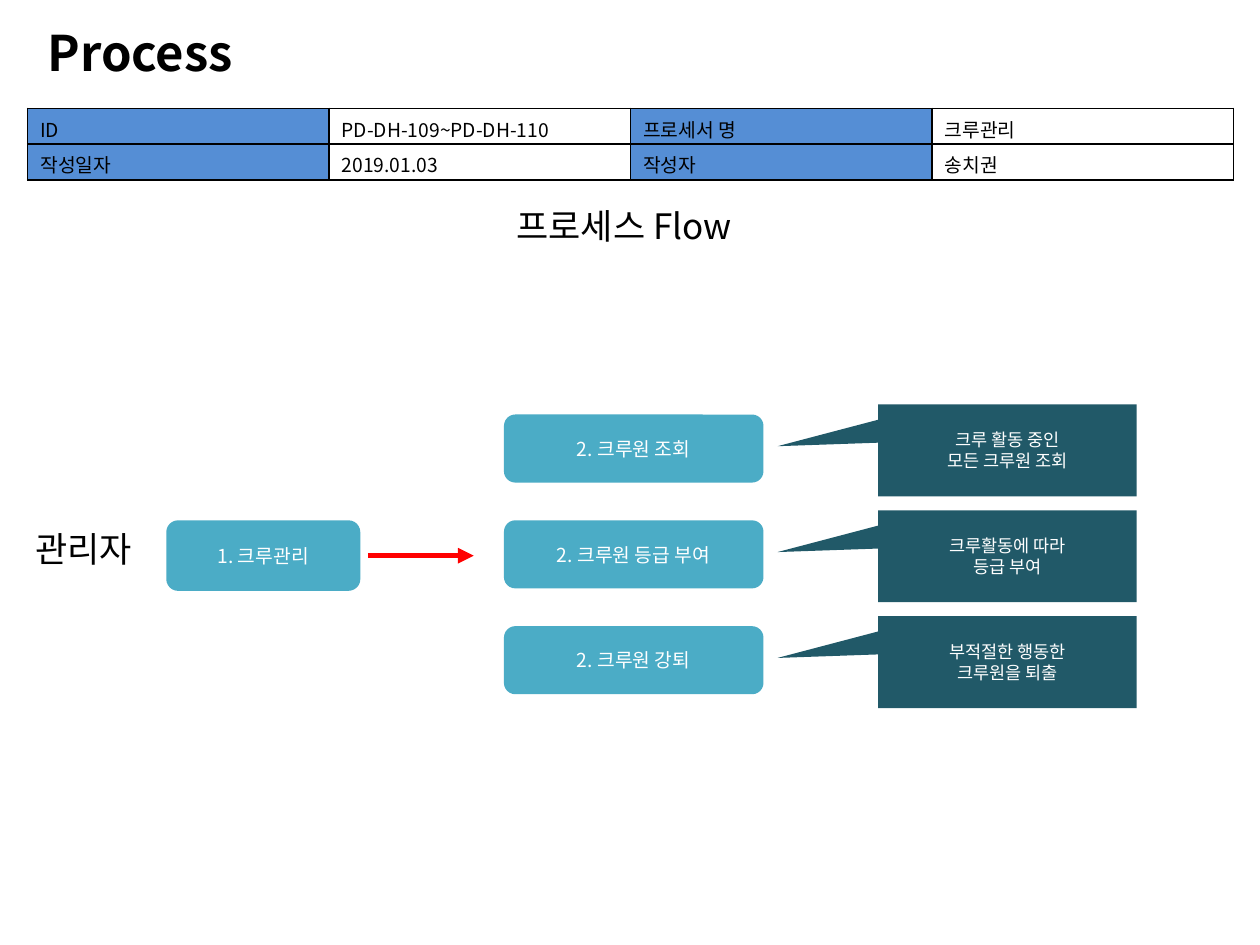
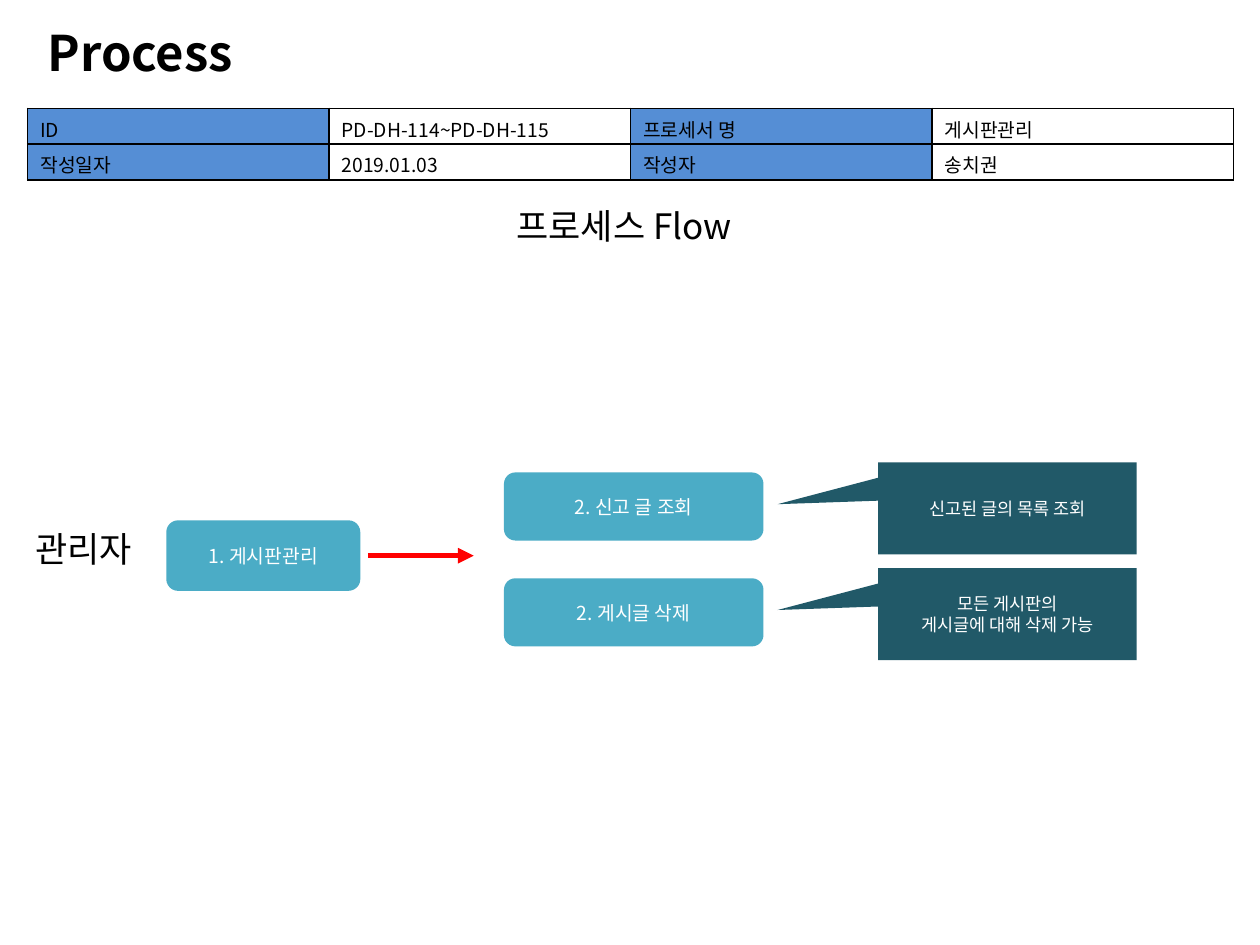
from lxml import etree
from pptx import Presentation
from pptx.dml.color import RGBColor
from pptx.enum.shapes import MSO_CONNECTOR, MSO_SHAPE
from pptx.enum.text import MSO_ANCHOR, PP_ALIGN
from pptx.oxml.ns import qn
from pptx.util import Inches, Pt

ROUNDED = MSO_SHAPE.ROUNDED_RECTANGLE
CALLOUT = MSO_SHAPE.RECTANGULAR_CALLOUT
STRAIGHT = MSO_CONNECTOR.STRAIGHT
MIDDLE = MSO_ANCHOR.MIDDLE
LEFT, CENTER = PP_ALIGN.LEFT, PP_ALIGN.CENTER

FONT = "Noto Sans CJK KR"
BLACK, WHITE, RED = "000000", "FFFFFF", "FF0000"
LABEL_BLUE, STEP_TEAL, NOTE_TEAL = "558ED5", "4BACC6", "215968"

TABLE_BOX = (0.22, 0.86, 9.57, 0.57)
FLOW_BOX = (0.18, 3.21, 8.84, 2.41)
STEP_PITCH = 0.84
STEP_HEIGHT = 0.54

PROCESSES = [
    {
        "id": "PD-DH-109~PD-DH-110",
        "name": "크루관리",
        "steps": [
            ("크루원 조회", "크루 활동 중인\n모든 크루원 조회"),
            ("크루원 등급 부여", "크루활동에 따라\n등급 부여"),
            ("크루원 강퇴", "부적절한 행동한\n크루원을 퇴출"),
        ],
        "first_step": 0.08,
    },
    {
        "id": "PD-DH-114~PD-DH-115",
        "name": "게시판관리",
        "steps": [
            ("신고 글 조회", "신고된 글의 목록 조회"),
            ("게시글 삭제", "모든 게시판의\n게시글에 대해 삭제 가능"),
        ],
        "first_step": 0.54,
    },
]


def rgb(value):
    return RGBColor.from_string(value)


def inches(box):
    return [Inches(length) for length in box]


def write(frame, text, size, color, align=LEFT, bold=False):
    frame.text = text
    for paragraph in frame.paragraphs:
        paragraph.alignment = align
        for run in paragraph.runs:
            run.font.size = Pt(size)
            run.font.bold = bold
            run.font.color.rgb = rgb(color)
            run.font.name = FONT
            east_asian = etree.SubElement(run._r.get_or_add_rPr(), qn("a:ea"))
            east_asian.set("typeface", FONT)


def add_label(slide, box, text, size, bold=False):
    label = slide.shapes.add_textbox(*inches(box))
    label.text_frame.word_wrap = True
    write(label.text_frame, text, size, BLACK, bold=bold)


def add_block(slide, kind, box, text, size, fill):
    block = slide.shapes.add_shape(kind, *inches(box))
    block.shadow.inherit = False
    block.fill.solid()
    block.fill.fore_color.rgb = rgb(fill)
    block.line.fill.background()
    block.text_frame.word_wrap = True
    block.text_frame.vertical_anchor = MIDDLE
    write(block.text_frame, text, size, WHITE, CENTER)
    return block


def add_note(slide, box, text):
    note = add_block(slide, CALLOUT, box, text, 10, NOTE_TEAL)
    note.adjustments[0] = -0.89
    note.adjustments[1] = -0.045


def add_arrow(slide, start, end):
    arrow = slide.shapes.add_connector(STRAIGHT, *inches(start + end))
    arrow.line.color.rgb = rgb(RED)
    arrow.line.width = Pt(3)
    head = etree.SubElement(arrow.line._get_or_add_ln(), qn("a:tailEnd"))
    head.set("type", "triangle")
    etree.SubElement(arrow._element.spPr, qn("a:effectLst"))


def add_borders(cell):
    properties = cell._tc.get_or_add_tcPr()
    for side in ("L", "R", "T", "B"):
        border = etree.SubElement(properties, qn(f"a:ln{side}"), w=str(Pt(1)))
        fill = etree.SubElement(border, qn("a:solidFill"))
        etree.SubElement(fill, qn("a:srgbClr"), val=BLACK)


def add_info_table(slide, box, process):
    rows = [
        ("ID", process["id"], "프로세서 명", process["name"]),
        ("작성일자", "2019.01.03", "작성자", "송치권"),
    ]
    table = slide.shapes.add_table(len(rows), len(rows[0]), *inches(box)).table
    for r, row in enumerate(rows):
        for c, text in enumerate(row):
            cell = table.cell(r, c)
            add_borders(cell)
            cell.fill.solid()
            cell.fill.fore_color.rgb = rgb(WHITE if c % 2 else LABEL_BLUE)
            write(cell.text_frame, text, 11, BLACK)


def add_flow(slide, box, process):
    """Actor, first step and arrow, then a column of steps with notes."""
    left, top = box[:2]
    add_label(slide, (left, top + 0.93, 1.06, 0.44), "관리자", 20)
    add_block(slide, ROUNDED, (left + 1.14, top + 0.92, 1.54, 0.56),
              f"1. {process['name']}", 11, STEP_TEAL)
    add_arrow(slide, (left + 2.74, top + 1.2), (left + 3.58, top + 1.2))
    for i, (step, note) in enumerate(process["steps"]):
        step_top = top + process["first_step"] + i * STEP_PITCH
        add_block(slide, ROUNDED, (left + 3.82, step_top, 2.06, STEP_HEIGHT),
                  f"2. {step}", 11, STEP_TEAL)
        add_note(slide, (left + 6.79, step_top - 0.08, 2.05, 0.73), note)


def add_process_slide(deck, process):
    slide = deck.slides.add_slide(deck.slide_layouts[6])
    add_label(slide, (0.28, 0.13, 8.98, 0.57), "Process", 28, bold=True)
    add_info_table(slide, TABLE_BOX, process)
    add_label(slide, (4, 1.57, 2.01, 0.44), "프로세스 Flow", 20)
    add_flow(slide, FLOW_BOX, process)


def main():
    deck = Presentation()
    deck.slide_width, deck.slide_height = Inches(10), Inches(7.5)
    for process in PROCESSES:
        add_process_slide(deck, process)
    deck.save("out.pptx")


if __name__ == "__main__":
    main()
